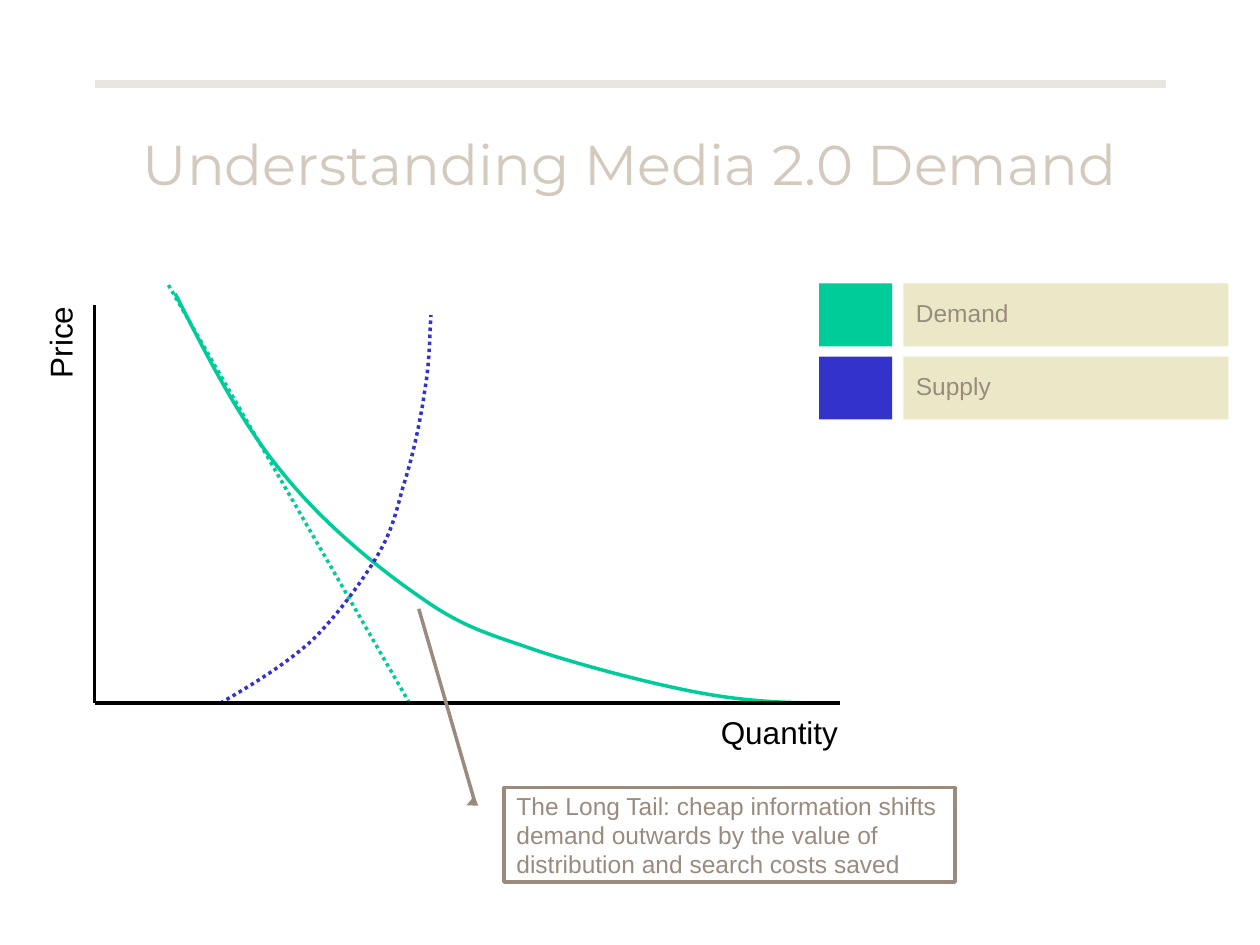
from lxml.etree import SubElement
from pptx import Presentation
from pptx.dml.color import RGBColor
from pptx.enum.dml import MSO_LINE
from pptx.enum.shapes import MSO_CONNECTOR, MSO_SHAPE
from pptx.enum.text import MSO_ANCHOR, PP_ALIGN
from pptx.oxml.ns import qn
from pptx.util import Inches, Pt

BLACK, GREEN, BLUE = "000000", "00CC99", "3333CC"
TAUPE, CREAM = "9A8B7E", "EAE8C6"

TITLE = "Understanding Media 2.0 Demand"
LEGEND = [("Demand", GREEN), ("Supply", BLUE)]
LEGEND_TOP, LEGEND_STEP = 2.25, 0.58
LONG_TAIL = ("The Long Tail: cheap information shifts demand outwards "
             "by the value of distribution and search costs saved")
# y, x of each leader point, as shares of the callout's height and width
LEADER = [0.188, -0.083, 0.167, -0.064, -1.891, -0.189]

ORIGIN_X, ORIGIN_Y = 0.75, 5.58
# start, end, colour, width, dotted
RULE = ((0.75, 0.67), (9.25, 0.67), "E9E5DF", 4.5, False)
PRICE_AXIS = ((ORIGIN_X, 2.42), (ORIGIN_X, ORIGIN_Y), BLACK, 2, False)
QUANTITY_AXIS = ((ORIGIN_X, ORIGIN_Y), (6.67, ORIGIN_Y), BLACK, 2, False)
OLD_DEMAND = ((3.25, ORIGIN_Y), (1.33, 2.25), GREEN, 2, True)

# start point, then two control points and an end point for each Bézier piece
LONG_TAIL_DEMAND = [
    (1.39, 2.33),
    (1.65, 2.84), (1.91, 3.35), (2.24, 3.75),
    (2.56, 4.15), (3, 4.51), (3.35, 4.75),
    (3.69, 4.99), (3.91, 5.04), (4.28, 5.17),
    (4.65, 5.29), (5.18, 5.43), (5.56, 5.5),
    (5.94, 5.57), (6.26, 5.58), (6.58, 5.58),
]
SUPPLY = [
    (1.75, 5.58),
    (2.01, 5.43), (2.27, 5.27), (2.48, 5.08),
    (2.68, 4.88), (2.87, 4.62), (2.99, 4.42),
    (3.11, 4.22), (3.14, 4.08), (3.2, 3.86),
    (3.27, 3.65), (3.34, 3.33), (3.37, 3.11),
    (3.41, 2.88), (3.41, 2.69), (3.42, 2.5),
]

prs = Presentation()
prs.slide_width, prs.slide_height = Inches(10), Inches(7.5)
shapes = prs.slides.add_slide(prs.slide_layouts[6]).shapes


def rgb(color):
    return RGBColor.from_string(color)


def style_line(line, color, width, dotted=False):
    line.color.rgb = rgb(color)
    line.width = Pt(width)
    if dotted:
        line.dash_style = MSO_LINE.ROUND_DOT


def write(shape, text, size, color, font="Arial", align=PP_ALIGN.LEFT, spacing=None):
    frame = shape.text_frame
    frame.word_wrap = True
    frame.vertical_anchor = MSO_ANCHOR.MIDDLE
    paragraph = frame.paragraphs[0]
    paragraph.text = text
    paragraph.alignment = align
    paragraph.line_spacing = spacing
    paragraph.font.size = Pt(size)
    paragraph.font.name = font
    paragraph.font.color.rgb = rgb(color)


def add_label(box, text, size, color, **text_format):
    label = shapes.add_textbox(*map(Inches, box))
    write(label, text, size, color, **text_format)
    return label


def add_block(box, fill):
    block = shapes.add_shape(MSO_SHAPE.RECTANGLE, *map(Inches, box))
    block.shadow.inherit = False
    block.fill.solid()
    block.fill.fore_color.rgb = rgb(fill)
    block.line.fill.background()
    return block


def add_line(start, end, color, width, dotted):
    line = shapes.add_connector(MSO_CONNECTOR.STRAIGHT, *map(Inches, start + end))
    style_line(line.line, color, width, dotted)
    SubElement(line._element.spPr, qn("a:effectLst"))


def add_curve(points, color, dotted=False):
    """Draw a polygon through all points, then turn each three sides into one Bézier."""
    start, *rest = [(Inches(x), Inches(y)) for x, y in points]
    builder = shapes.build_freeform(*start)
    builder.add_line_segments(rest, close=False)
    curve = builder.convert_to_shape()
    outline = next(curve._element.iter(qn("a:path")))
    sides = outline.findall(qn("a:lnTo"))
    for first in range(0, len(sides), 3):
        bezier = SubElement(outline, qn("a:cubicBezTo"))
        for side in sides[first:first + 3]:
            bezier.append(side[0])
            outline.remove(side)
    curve.shadow.inherit = False
    curve.fill.background()
    style_line(curve.line, color, 2, dotted)


add_line(*RULE)
add_label((0.75, 0.67, 8.5, 1.25), TITLE, 32, "D3C9BD",
          font="Montserrat", align=PP_ALIGN.CENTER)

for row, (name, color) in enumerate(LEGEND):
    top = LEGEND_TOP + row * LEGEND_STEP
    add_block((6.5, top, 0.58, 0.5), color)
    write(add_block((7.17, top, 2.58, 0.5), CREAM), name, 14, TAUPE, spacing=0.9)

add_line(*PRICE_AXIS)
axis_format = dict(size=18, color=BLACK, align=PP_ALIGN.RIGHT, spacing=0.9)
add_label((4.58, ORIGIN_Y, 2.17, 0.5), "Quantity", **axis_format)
add_label((-0.17, 2.75, 1.33, 0.5), "Price", **axis_format).rotation = 270

add_line(*OLD_DEMAND)
add_curve(LONG_TAIL_DEMAND, GREEN)
add_curve(SUPPLY, BLUE, dotted=True)
add_line(*QUANTITY_AXIS)

callout = shapes.add_shape(MSO_SHAPE.LINE_CALLOUT_2, *map(Inches, (4, 6.25, 3.58, 0.75)))
callout.shadow.inherit = False
callout.fill.background()
for index, share in enumerate(LEADER):
    callout.adjustments[index] = share
style_line(callout.line, TAUPE, 2)
SubElement(callout.line._get_or_add_ln(), qn("a:headEnd"), type="triangle")
write(callout, LONG_TAIL, 14, TAUPE)

prs.save("out.pptx")
